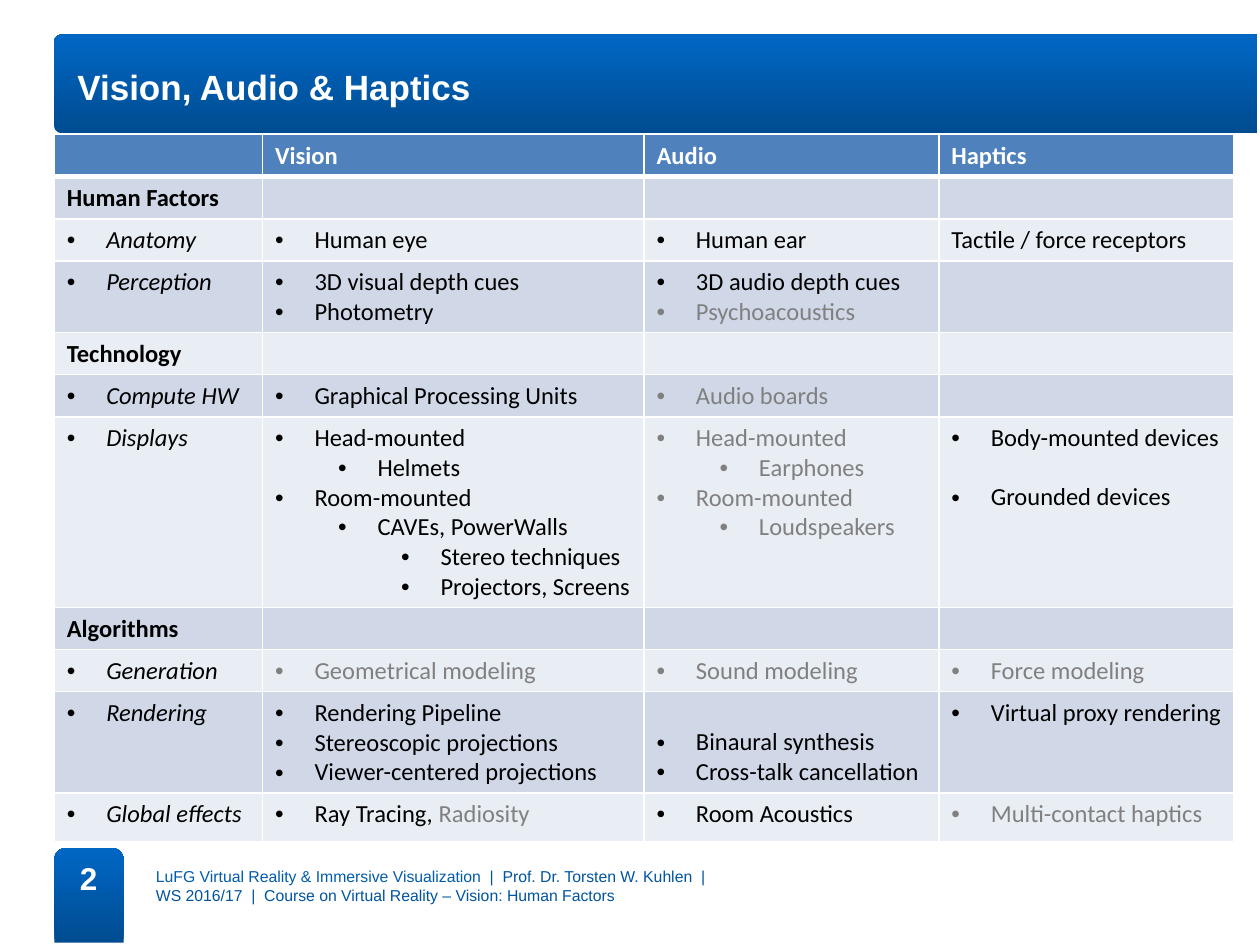
from dataclasses import dataclass

from lxml import etree
from pptx import Presentation
from pptx.dml.color import RGBColor
from pptx.enum.shapes import MSO_SHAPE
from pptx.enum.text import MSO_ANCHOR, MSO_AUTO_SIZE, PP_ALIGN
from pptx.oxml.ns import qn
from pptx.util import Pt

TITLE_ONLY = 5
ROUND_TOP = MSO_SHAPE.ROUND_2_SAME_RECTANGLE
TOP, MIDDLE = MSO_ANCHOR.TOP, MSO_ANCHOR.MIDDLE
LEFT, CENTER = PP_ALIGN.LEFT, PP_ALIGN.CENTER


@dataclass(frozen=True)
class Theme:
    head_font: str = "Arial"
    table_font: str = "Calibri"
    title_size: float = 20
    number_size: float = 18
    table_size: float = 14
    footer_size: float = 9
    white: str = "FFFFFF"
    black: str = "000000"
    muted: str = "808080"
    deep_blue: str = "004C91"
    bright_blue: str = "0067C4"
    footer_blue: str = "005BAD"
    footer_dark: str = "00549F"
    header: str = "4F81BD"
    bands: tuple = ("E9EDF4", "D0D8E8")


THEME = Theme()


@dataclass(frozen=True)
class Line:
    """One paragraph of a cell; muted_tail follows the text in grey."""
    text: str
    level: int = 0
    color: str = THEME.black
    muted_tail: str = ""
    bullet: bool = True
    space_before: float = 0


def muted(text, level=0):
    return Line(text, level, THEME.muted)


COLUMN_WIDTHS = (119, 218, 168.5, 168.5)
ROW_HEIGHTS = (24, 24, 24, 41, 24, 24, 109, 24, 24, 58, 28)
LINE_HEIGHT = 17
HEADINGS = ("", "Vision", "Audio", "Haptics")
# A row without cells is a section heading.
ROWS = (
    ("Human Factors",),
    ("Anatomy", [Line("Human eye")], [Line("Human ear")],
     [Line("Tactile / force receptors", bullet=False)]),
    ("Perception", [Line("3D visual depth cues"), Line("Photometry")],
     [Line("3D audio depth cues"), muted("Psychoacoustics")], []),
    ("Technology",),
    ("Compute HW", [Line("Graphical Processing Units")], [muted("Audio boards")], []),
    ("Displays",
     [Line("Head-mounted"), Line("Helmets", 1), Line("Room-mounted"),
      Line("CAVEs, PowerWalls", 1), Line("Stereo techniques", 2),
      Line("Projectors, Screens", 2)],
     [muted("Head-mounted"), muted("Earphones", 1),
      muted("Room-mounted"), muted("Loudspeakers", 1)],
     [Line("Body-mounted devices"), Line("Grounded devices", space_before=LINE_HEIGHT)]),
    ("Algorithms",),
    ("Generation", [muted("Geometrical modeling")], [muted("Sound modeling")],
     [muted("Force modeling")]),
    ("Rendering",
     [Line("Rendering Pipeline"), Line("Stereoscopic projections"),
      Line("Viewer-centered projections")],
     [Line("Binaural synthesis", space_before=LINE_HEIGHT), Line("Cross-talk cancellation")],
     [Line("Virtual proxy rendering")]),
    ("Global effects", [Line("Ray Tracing, ", muted_tail="Radiosity")],
     [Line("Room Acoustics")], [muted("Multi-contact haptics")]),
)


def add_text(para, text, size=THEME.table_size, font=THEME.table_font,
             color=THEME.black, bold=False, italic=False):
    span = para.add_run()
    span.text = text
    span.font.size, span.font.name = Pt(size), font
    span.font.bold, span.font.italic = bold, italic
    span.font.color.rgb = RGBColor.from_string(color)


def set_bullet(para, level=0):
    para.level = level
    props = para._p.get_or_add_pPr()
    props.set("marL", str(Pt(22.5 + 36 * level)))
    props.set("indent", str(-Pt(22.5)))
    etree.SubElement(props, qn("a:buFont"), typeface="Arial")
    etree.SubElement(props, qn("a:buChar"), char="•")


def add_gradient_shape(page, left, top, width, height, angle, rotation=0):
    shape = page.shapes.add_shape(ROUND_TOP, Pt(left), Pt(top), Pt(width), Pt(height))
    shape.shadow.inherit = False
    shape.rotation = rotation
    shape.line.fill.background()
    shape.fill.gradient()
    shape.fill.gradient_angle = angle
    for stop, color in zip(shape.fill.gradient_stops, (THEME.deep_blue, THEME.bright_blue)):
        stop.color.rgb = RGBColor.from_string(color)
    return shape


def add_text_box(page, left, top, width, height):
    box = page.shapes.add_textbox(Pt(left), Pt(top), Pt(width), Pt(height))
    box.text_frame.word_wrap = True
    box.text_frame.vertical_anchor = MIDDLE
    return box.text_frame


def add_title(page, text):
    title = page.shapes.title
    title.left, title.top, title.width, title.height = Pt(37), Pt(32), Pt(648), Pt(27)
    frame = title.text_frame
    frame.auto_size = MSO_AUTO_SIZE.NONE
    frame.vertical_anchor = TOP
    frame.margin_top = Pt(5.6)
    para = frame.paragraphs[0]
    para.alignment = LEFT
    add_text(para, text, size=THEME.title_size, font=THEME.head_font,
             color=THEME.white, bold=True)


def style_cell(cell, fill, top=1, bottom=1):
    """Set the fill, the margin and the white borders, with widths in points."""
    props = cell._tc.get_or_add_tcPr()
    for side, width in (("L", 1), ("R", 1), ("T", top), ("B", bottom)):
        border = etree.SubElement(props, qn(f"a:ln{side}"), w=str(Pt(width)))
        solid = etree.SubElement(border, qn("a:solidFill"))
        etree.SubElement(solid, qn("a:srgbClr"), val=THEME.white)
    cell.fill.solid()
    cell.fill.fore_color.rgb = RGBColor.from_string(fill)
    cell.margin_right = Pt(4)


def fill_cell(cell, lines, **text_format):
    frame = cell.text_frame
    if not lines:
        etree.SubElement(frame.paragraphs[0]._p, qn("a:endParaRPr"),
                         sz=str(THEME.table_size * 100))
    for index, line in enumerate(lines):
        para = frame.paragraphs[0] if index == 0 else frame.add_paragraph()
        if line.space_before and index == 0:
            cell.margin_top = Pt(3.6 + line.space_before)
        elif line.space_before:
            para.space_before = Pt(line.space_before)
        if line.bullet:
            set_bullet(para, line.level)
        add_text(para, line.text, color=line.color, **text_format)
        if line.muted_tail:
            add_text(para, line.muted_tail, color=THEME.muted, **text_format)


def add_comparison_table(page):
    frame = page.shapes.add_table(len(ROW_HEIGHTS), len(COLUMN_WIDTHS), Pt(31), Pt(77),
                                  Pt(sum(COLUMN_WIDTHS)), Pt(sum(ROW_HEIGHTS)))
    table = frame.table
    for column, width in zip(table.columns, COLUMN_WIDTHS):
        column.width = Pt(width)
    for row, height in zip(table.rows, ROW_HEIGHTS):
        row.height = Pt(height)
    for column, heading in enumerate(HEADINGS):
        cell = table.cell(0, column)
        style_cell(cell, THEME.header, bottom=3)
        lines = [Line(heading, color=THEME.white, bullet=False)] if heading else []
        fill_cell(cell, lines, bold=True)
    for row, (label, *contents) in enumerate(ROWS, start=1):
        is_section = not contents
        for column in range(len(HEADINGS)):
            style_cell(table.cell(row, column), THEME.bands[row % 2], top=3 if row == 1 else 1)
        fill_cell(table.cell(row, 0), [Line(label, bullet=not is_section)],
                  bold=is_section, italic=not is_section)
        for column, lines in enumerate(contents or [[]] * 3, start=1):
            fill_cell(table.cell(row, column), lines)


def add_footer(page):
    add_gradient_shape(page, 31, 484.6, 39.6, 54, angle=90)
    number = add_text_box(page, 25.2, 487.4, 51, 29).paragraphs[0]
    number.alignment = CENTER
    add_text(number, "2", size=THEME.number_size, font=THEME.head_font,
             color=THEME.white, bold=True)
    credits = add_text_box(page, 82, 489, 350, 34.6)
    small = {"size": THEME.footer_size, "font": THEME.head_font}
    first = credits.paragraphs[0]
    add_text(first, "LuFG Virtual Reality & Immersive Visualization  ",
             color=THEME.footer_blue, **small)
    add_text(first, "|  Prof. Dr. Torsten W. Kuhlen  |", color=THEME.footer_dark, **small)
    add_text(credits.add_paragraph(),
             "WS 2016/17  |  Course on Virtual Reality – Vision: Human Factors",
             color=THEME.footer_dark, **small)


def main():
    deck = Presentation()
    deck.slide_width, deck.slide_height = Pt(720), Pt(540)
    page = deck.slides.add_slide(deck.slide_layouts[TITLE_ONLY])
    title_bar = add_gradient_shape(page, 346.4, -295.9, 56.6, 687.6, angle=0, rotation=270)
    title_bar.adjustments[0] = 0.08
    add_footer(page)
    add_title(page, "Vision, Audio & Haptics")
    add_comparison_table(page)
    # The title placeholder is created first, so lift it above the bar.
    page.shapes._spTree.append(page.shapes.title._element)
    deck.save("out.pptx")


if __name__ == "__main__":
    main()
